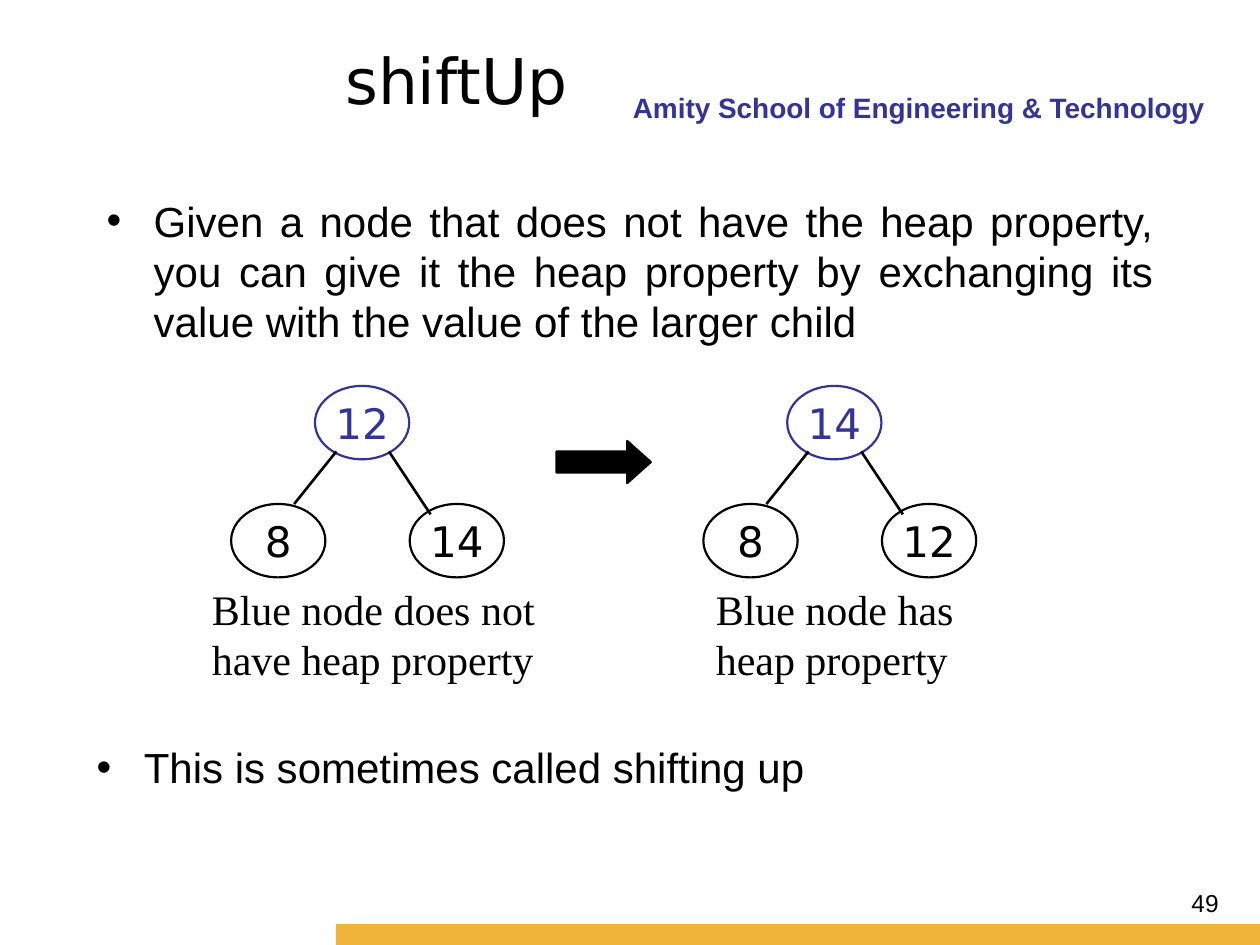
from lxml.etree import SubElement
from pptx import Presentation
from pptx.dml.color import RGBColor
from pptx.enum.shapes import MSO_CONNECTOR as Connector, MSO_SHAPE as Shape
from pptx.enum.text import MSO_ANCHOR as Anchor, MSO_AUTO_SIZE as AutoSize, PP_ALIGN as Align
from pptx.oxml.ns import qn
from pptx.util import Cm, Pt

BLACK = RGBColor(0x00, 0x00, 0x00)
BLUE = RGBColor(0x33, 0x33, 0x99)
GOLD = RGBColor(0xF1, 0xB4, 0x3B)

NODE_WIDTH, NODE_HEIGHT = 1.9, 1.48
ROOT_TOP, CHILD_TOP = 7.78, 10.16
EDGE_TOP = 9.1


def write_text(shape, text, font="Arial", size=24, color=BLACK, bold=False,
               align=Align.LEFT, anchor=Anchor.TOP, wrap=True, bullet=False):
    frame = shape.text_frame
    frame.auto_size = AutoSize.NONE
    frame.word_wrap = wrap
    frame.vertical_anchor = anchor
    paragraph = frame.paragraphs[0]
    paragraph.text = text
    paragraph.alignment = align
    if bullet:
        properties = paragraph._p.get_or_add_pPr()
        properties.set("marL", str(Cm(0.95)))
        properties.set("indent", str(Cm(-0.95)))
        SubElement(properties, qn("a:buFont"), typeface="Arial")
        SubElement(properties, qn("a:buChar"), char="•")
    style = paragraph.font
    style.name, style.size, style.bold = font, Pt(size), bold
    style.color.rgb = color


presentation = Presentation()
presentation.slide_width, presentation.slide_height = Cm(25.4), Cm(19.05)
slide = presentation.slides.add_slide(presentation.slide_layouts[5])
shapes = slide.shapes

# Title, school name and footer
title = shapes.title
title.left, title.top, title.width, title.height = Cm(-1.75), Cm(0.7), Cm(21.9), Cm(3.68)
write_text(title, "shiftUp", font="DejaVu Sans", size=36, align=Align.CENTER)

school = shapes.add_textbox(Cm(10.36), Cm(1.7), Cm(14.18), Cm(0.85))
write_text(school, "Amity School of Engineering & Technology", size=16, color=BLUE,
           bold=True, align=Align.RIGHT)

footer_bar = shapes.add_shape(Shape.RECTANGLE, Cm(6.77), Cm(18.63), Cm(18.63), Cm(0.42))
footer_bar.shadow.inherit = False
footer_bar.fill.solid()
footer_bar.fill.fore_color.rgb = GOLD
footer_bar.line.fill.background()

page_number = shapes.add_textbox(Cm(18.9), Cm(17.78), Cm(5.92), Cm(1.32))
write_text(page_number, "49", size=14, align=Align.RIGHT)

# Bulleted statements
rule = shapes.add_textbox(Cm(1.9), Cm(3.81), Cm(21.6), Cm(4.24))
write_text(rule, "Given a node that does not have the heap property, you can give it the heap "
           "property by exchanging its value with the value of the larger child",
           align=Align.JUSTIFY, bullet=True)

remark = shapes.add_textbox(Cm(1.7), Cm(14.82), Cm(21.8), Cm(3.6))
write_text(remark, "This is sometimes called shifting up", bullet=True)

# Trees before and after the exchange: left, root, children, caption, caption left and width
trees = [
    (4.66, "12", "8", "14", "Blue node does not have heap property", 4.02, 7.2),
    (14.18, "14", "8", "12", "Blue node has heap property", 14.18, 5.5),
]
for left, root, left_child, right_child, caption, caption_left, caption_width in trees:
    tree = slide.shapes.add_group_shape().shapes
    nodes = [
        (root, 1.69, ROOT_TOP, BLUE),
        (left_child, 0, CHILD_TOP, BLACK),
        (right_child, 3.6, CHILD_TOP, BLACK),
    ]
    for value, offset, top, color in nodes:
        node = tree.add_shape(Shape.OVAL, Cm(left + offset), Cm(top),
                              Cm(NODE_WIDTH), Cm(NODE_HEIGHT))
        node.shadow.inherit = False
        node.fill.background()
        node.line.color.rgb = color
        node.line.width = Pt(1.25)
        write_text(node, value, font="DejaVu Sans", color=color, align=Align.CENTER,
                   anchor=Anchor.MIDDLE, wrap=False)

    for start, end, bottom in [(2.12, 1.27, CHILD_TOP), (3.18, 4.02, 10.37)]:
        edge = tree.add_connector(Connector.STRAIGHT, Cm(left + start), Cm(EDGE_TOP),
                                  Cm(left + end), Cm(bottom))
        edge.line.color.rgb = BLACK
        edge.line.width = Pt(1.5)
        SubElement(edge._element.spPr, qn("a:effectLst"))

    caption_box = tree.add_textbox(Cm(caption_left), Cm(11.64), Cm(caption_width), Cm(2.29))
    write_text(caption_box, caption, font="Times New Roman")

exchange_arrow = shapes.add_shape(Shape.RIGHT_ARROW, Cm(11.22), Cm(8.89), Cm(1.9), Cm(0.85))
exchange_arrow.adjustments[0] = 0.5
exchange_arrow.adjustments[1] = 0.56
exchange_arrow.shadow.inherit = False
exchange_arrow.fill.solid()
exchange_arrow.fill.fore_color.rgb = BLACK
exchange_arrow.line.color.rgb = BLACK
exchange_arrow.line.width = Pt(1.25)

presentation.save("out.pptx")
